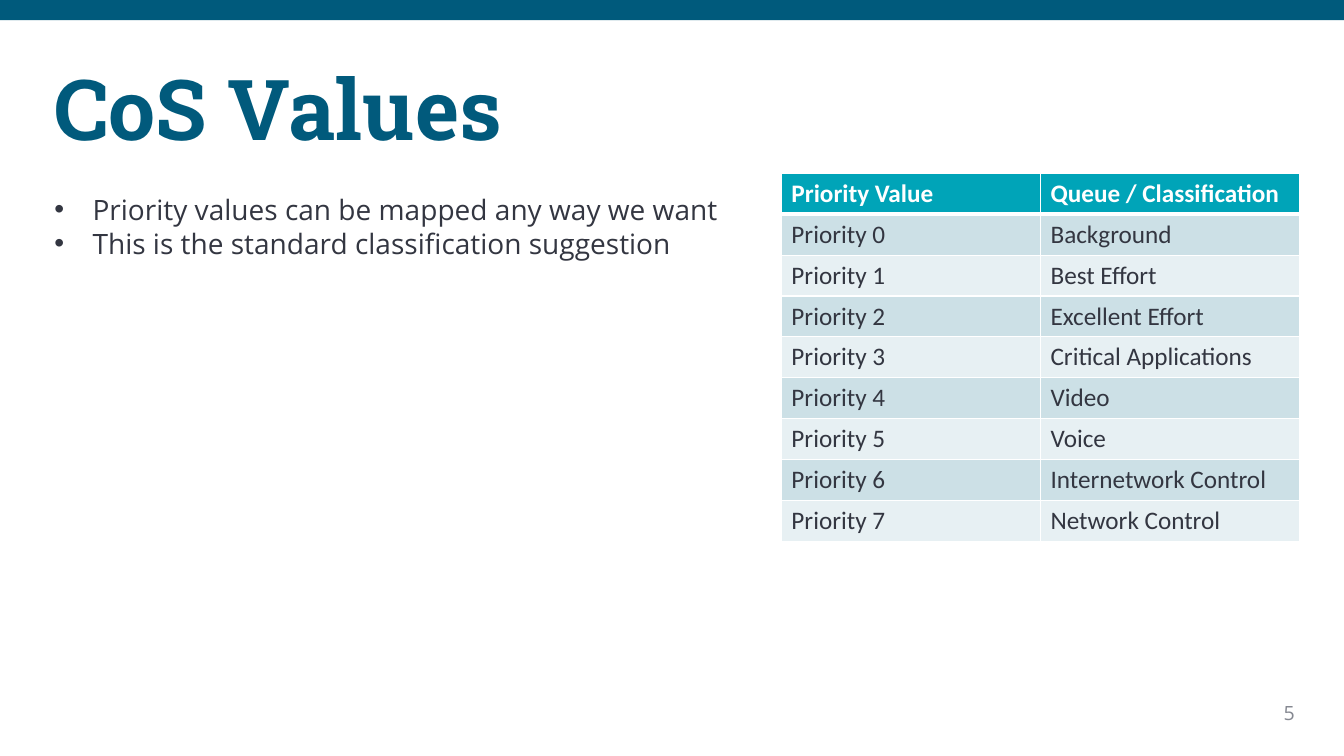
from dataclasses import dataclass

from pptx import Presentation
from pptx.dml.color import RGBColor
from pptx.enum.shapes import MSO_SHAPE as Shape
from pptx.enum.text import MSO_ANCHOR as Anchor, PP_ALIGN as Align
from pptx.oxml import parse_xml
from pptx.oxml.ns import nsdecls
from pptx.util import Inches, Pt


@dataclass(frozen=True)
class Theme:
    bar: str = "005A7C"
    title: str = "015A7C"
    ink: str = "333641"
    muted: str = "858891"
    white: str = "FFFFFF"
    head: str = "00A4B8"
    bands: tuple = ("CCE0E6", "E7F0F3")
    slab: str = "Roboto Slab"
    sans: str = "Open Sans"
    grid: str = "Calibri"
    title_size: int = 60
    body_size: int = 20
    cell_size: int = 18
    note_size: int = 14


def place(shape, box):
    shape.left, shape.top, shape.width, shape.height = map(Inches, box)


def paint(fill, color):
    fill.solid()
    fill.fore_color.rgb = RGBColor.from_string(color)


def style(para, face, size, color, bold=False):
    font = para.font
    font.name, font.size, font.bold = face, Pt(size), bold
    font.color.rgb = RGBColor.from_string(color)


class Page:
    def __init__(self, deck, theme):
        self.theme = theme
        self.slide = deck.slides.add_slide(deck.slide_layouts[5])
        paint(self.slide.background.fill, theme.white)

    def bar(self, box):
        bar = self.slide.shapes.add_shape(Shape.RECTANGLE, *map(Inches, box))
        bar.shadow.inherit = False
        paint(bar.fill, self.theme.bar)
        bar.line.fill.background()

    def title(self, text, box):
        title = self.slide.shapes.title
        place(title, box)
        frame = title.text_frame
        frame.text = text
        frame.word_wrap = True
        frame.vertical_anchor = Anchor.MIDDLE
        para = frame.paragraphs[0]
        para.alignment, para.line_spacing = Align.LEFT, 0.9
        style(para, self.theme.slab, self.theme.title_size,
              self.theme.title, True)

    def text(self, lines, box, size, color, align=Align.LEFT, bullet=False):
        frame = self.slide.shapes.add_textbox(*map(Inches, box)).text_frame
        frame.word_wrap = True
        frame.text = "\n".join(lines)
        for para in frame.paragraphs:
            para.alignment = align
            style(para, self.theme.sans, size, color)
            if bullet:
                self.bullet(para)

    def bullet(self, para):
        props = para._p.get_or_add_pPr()
        indent = Inches(0.38)
        props.set("marL", str(indent))
        props.set("indent", str(-indent))
        for mark in ('<a:buFont {} typeface="Arial"/>',
                     '<a:buChar {} char="•"/>'):
            props.insert_element_before(
                parse_xml(mark.format(nsdecls("a"))), "a:defRPr")

    def table(self, rows, box):
        theme = self.theme
        frame = self.slide.shapes.add_table(
            len(rows), len(rows[0]), *map(Inches, box))
        for r, row in enumerate(rows):
            head = r == 0
            fill = theme.head if head else theme.bands[(r - 1) % 2]
            color = theme.white if head else theme.ink
            for c, text in enumerate(row):
                cell = frame.table.cell(r, c)
                cell.text = text
                paint(cell.fill, fill)
                style(cell.text_frame.paragraphs[0], theme.grid,
                      theme.cell_size, color, head)
                self.border(cell, top=3 if r == 1 else 1,
                            bottom=3 if head else 1)

    def border(self, cell, top, bottom):
        props = cell._tc.get_or_add_tcPr()
        for i, (side, width) in enumerate(zip("LRTB", (1, 1, top, bottom))):
            props.insert(i, parse_xml(
                f'<a:ln{side} {nsdecls("a")} w="{Pt(width)}"><a:solidFill>'
                f'<a:srgbClr val="{self.theme.white}"/>'
                f'</a:solidFill></a:ln{side}>'))


def main():
    deck = Presentation()
    deck.slide_width, deck.slide_height = Inches(13.33), Inches(7.5)
    theme = Theme()
    page = Page(deck, theme)
    page.bar((0, 0, 13.33, 0.2))
    page.title("CoS Values", (0.44, 0.4, 12.42, 1.45))
    page.text(["Priority values can be mapped any way we want",
               "This is the standard classification suggestion"],
              (0.44, 1.86, 7.13, 0.77), theme.body_size, theme.ink,
              bullet=True)
    queues = ["Background", "Best Effort", "Excellent Effort",
              "Critical Applications", "Video", "Voice",
              "Internetwork Control", "Network Control"]
    rows = [("Priority Value", "Queue / Classification")]
    rows += [(f"Priority {n}", queue) for n, queue in enumerate(queues)]
    page.table(rows, (7.75, 1.72, 5.14, 3.65))
    page.text(["5"], (12.3, 6.9, 0.64, 0.34), theme.note_size, theme.muted,
              Align.RIGHT)
    deck.save("out.pptx")


if __name__ == "__main__":
    main()
